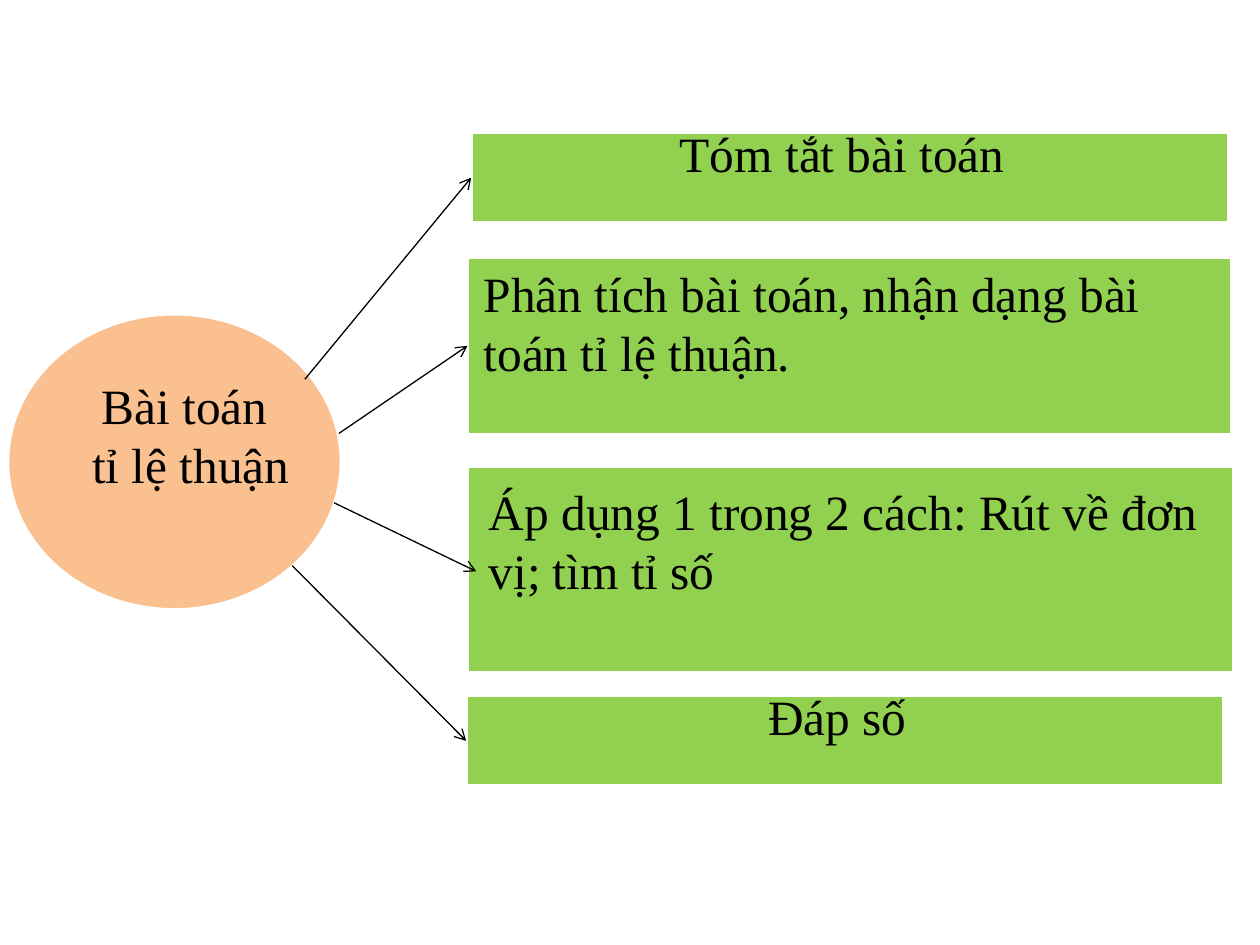
from pptx import Presentation
from pptx.dml.color import RGBColor
from pptx.enum import shapes, text
from pptx.oxml import ns
from pptx.util import Inches, Pt
from lxml import etree

COLORS = {"step": "92D050", "topic": "FAC090", "edge": "FFFFFF", "ink": "000000"}
FONT = "Times New Roman"
CENTER, LEFT = text.PP_ALIGN.CENTER, text.PP_ALIGN.LEFT

prs = Presentation()
prs.slide_width, prs.slide_height = Inches(10), Inches(7.5)
s = prs.slides.add_slide(prs.slide_layouts[6])


def add_block(kind, at, fill):
    sp = s.shapes.add_shape(kind, *map(Inches, at))
    sp.shadow.inherit = False
    sp.fill.solid()
    sp.fill.fore_color.rgb = RGBColor.from_string(COLORS[fill])
    sp.line.color.rgb = RGBColor.from_string(COLORS["edge"])
    sp.line.width = Pt(2)
    return sp


def add_label(at, lines, align):
    tb = s.shapes.add_textbox(*map(Inches, at))
    tf = tb.text_frame
    tf.word_wrap = True
    tf.auto_size = text.MSO_AUTO_SIZE.SHAPE_TO_FIT_TEXT
    for i, line in enumerate(lines):
        p = tf.add_paragraph() if i else tf.paragraphs[0]
        p.alignment = align
        r = p.add_run()
        r.text = line
        r.font.name, r.font.size = FONT, Pt(28.2)
        r.font.color.rgb = RGBColor.from_string(COLORS["ink"])
    return tb


# Topic
add_block(shapes.MSO_SHAPE.OVAL, (0.06, 2.49, 2.65, 2.35), "topic")
add_label((-0.41, 2.93, 3.85, 1.05), ["Bài toán ", "tỉ lệ thuận"], CENTER)

# Steps: box, label place, wording, alignment, arrow start, arrow joins label
steps = [
    ((3.74, 1.05, 6.01, 0.72), (3.67, 0.93, 6.03, 0.58),
     "Tóm tắt bài toán", CENTER, (2.42, 3.01), False),
    ((3.71, 2.04, 6.07, 1.41), (3.74, 2.04, 6.01, 1.53),
     "Phân tích bài toán, nhận dạng bài toán tỉ lệ thuận.", LEFT, (2.69, 3.44), False),
    ((3.71, 3.7, 6.08, 1.64), (3.78, 3.77, 6.01, 1.53),
     "Áp dụng 1 trong 2 cách: Rút về đơn vị; tìm tỉ số", LEFT, (2.65, 3.99), True),
    ((3.7, 5.52, 6.01, 0.72), (3.63, 5.4, 6.03, 0.58),
     "Đáp số", CENTER, (2.32, 4.49), False),
]
for box_at, label_at, wording, align, start, joins_label in steps:
    box = add_block(shapes.MSO_SHAPE.RECTANGLE, box_at, "step")
    label = add_label(label_at, [wording], align)

    # Arrow from the topic to the middle of the left side
    x, y = map(Inches, start)
    arrow = s.shapes.add_connector(shapes.MSO_CONNECTOR.STRAIGHT, x, y, x, y)
    arrow.end_connect(label if joins_label else box, 1)
    arrow.line.color.rgb = RGBColor.from_string(COLORS["ink"])
    arrow.line.width = Pt(0.75)
    etree.SubElement(arrow.line._get_or_add_ln(), ns.qn("a:tailEnd"), type="arrow")
    etree.SubElement(arrow._element.spPr, ns.qn("a:effectLst"))

prs.save("out.pptx")
